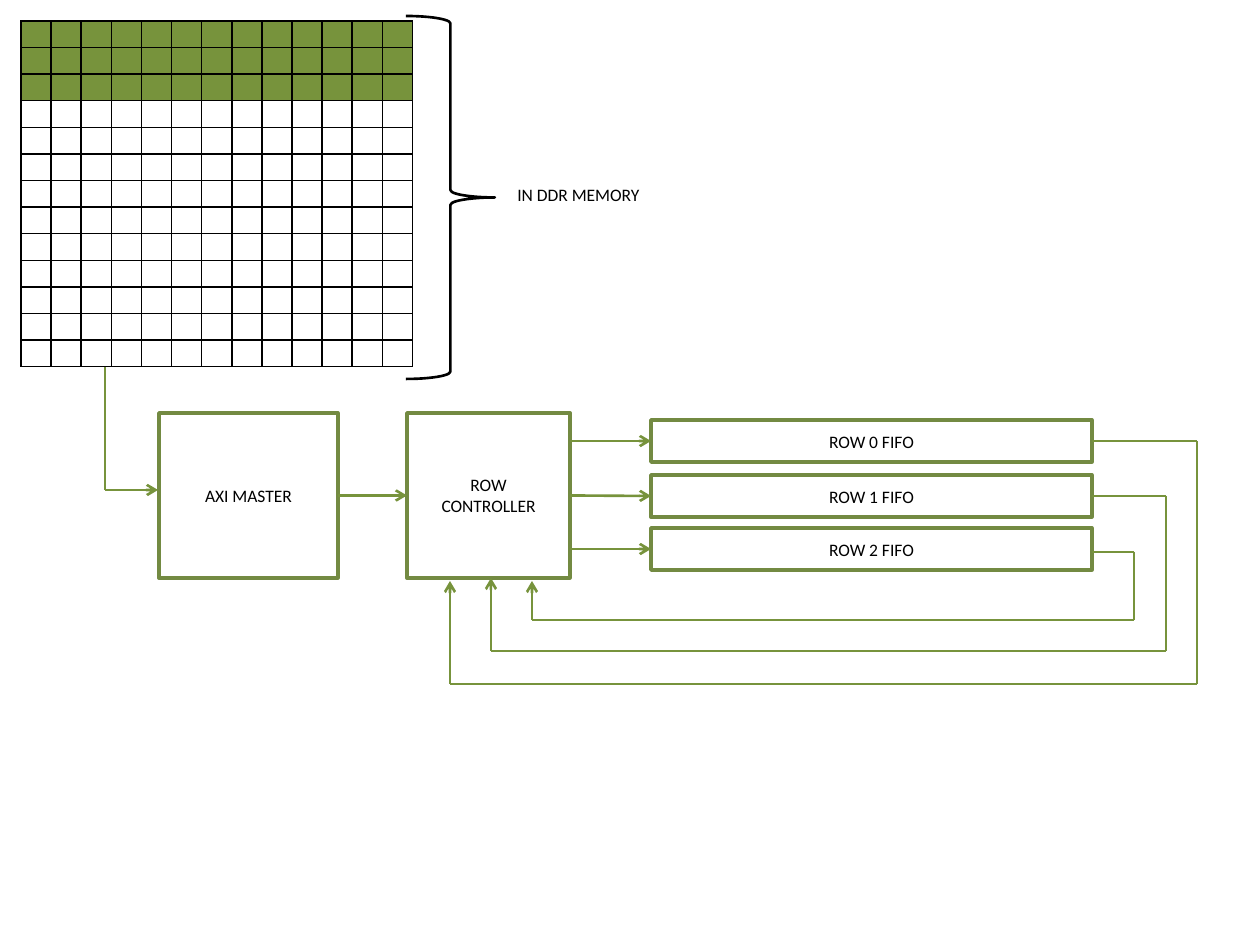
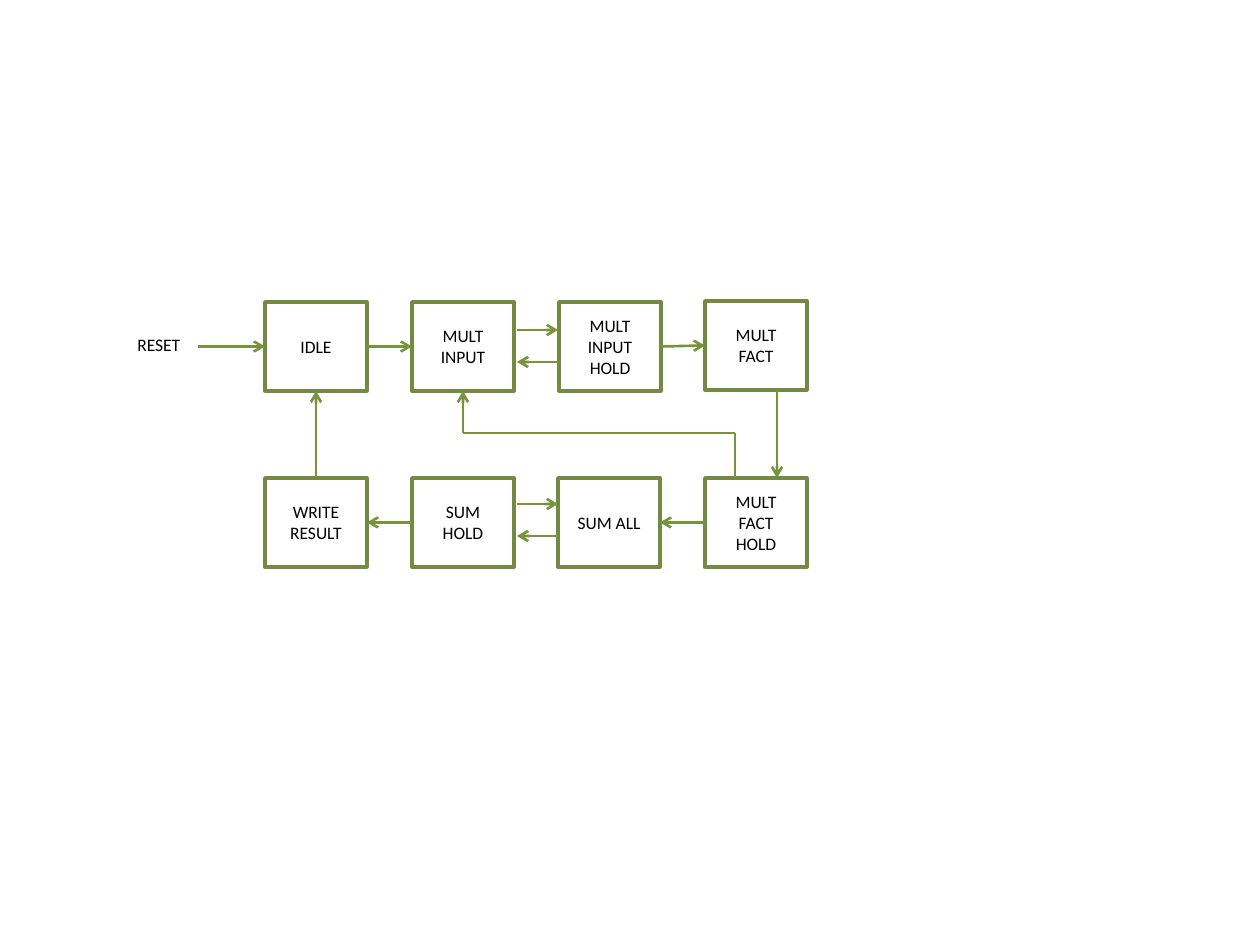
import collections

import lxml.etree
import pptx
import pptx.dml.color
import pptx.enum.shapes
import pptx.enum.text
import pptx.oxml
import pptx.oxml.ns
import pptx.util

RGBColor = pptx.dml.color.RGBColor
SHAPE = pptx.enum.shapes.MSO_SHAPE
BLACK = RGBColor(0x00, 0x00, 0x00)
WHITE = RGBColor(0xFF, 0xFF, 0xFF)
GREEN = RGBColor(0x77, 0x93, 0x3C)
OUTLINE = RGBColor(0x73, 0x8A, 0x42)
SCALE = 914400 / 126
TOP, LEFT, BOTTOM, RIGHT = range(4)

Spot = collections.namedtuple("Spot", "x y box side", defaults=(None, None))


def emu(*lengths):
    return [pptx.util.Emu(round(length * SCALE)) for length in lengths]


def add_element(parent, tag, **attributes):
    return lxml.etree.SubElement(parent, pptx.oxml.ns.qn(tag), **attributes)


def middle(box, side):
    x, y, width, height = (
        length / SCALE for length in (box.left, box.top, box.width, box.height))
    across, down = [(0.5, 0), (0, 0.5), (0.5, 1), (1, 0.5)][side]
    return Spot(x + width * across, y + height * down, box, side)


class Diagram:
    font_name = "Calibri"
    font_size = pptx.util.Pt(10)
    box_line = pptx.util.Pt(2)
    thin_line = pptx.util.Pt(1.5)

    def __init__(self, deck):
        self.deck = deck
        self.page = None

    def new_page(self):
        self.page = self.deck.slides.add_slide(self.deck.slide_layouts[6])

    def set_text(self, frame, text):
        frame.text = text
        for para in frame.paragraphs:
            para.font.name = self.font_name
            para.font.size = self.font_size
            para.font.color.rgb = BLACK

    def outline(self, kind, x, y, width, height, color, weight):
        shape = self.page.shapes.add_shape(kind, *emu(x, y, width, height))
        shape.shadow.inherit = False
        shape.fill.background()
        shape.line.color.rgb = color
        shape.line.width = weight
        return shape

    def box(self, text, x, y, width, height):
        box = self.outline(SHAPE.RECTANGLE, x, y, width, height, OUTLINE, self.box_line)
        frame = box.text_frame
        frame.word_wrap = True
        frame.vertical_anchor = pptx.enum.text.MSO_ANCHOR.MIDDLE
        self.set_text(frame, text)
        for para in frame.paragraphs:
            para.alignment = pptx.enum.text.PP_ALIGN.CENTER
        return box

    def brace(self, x, y, width, height):
        return self.outline(SHAPE.RIGHT_BRACE, x, y, width, height, BLACK, self.thin_line)

    def label(self, text, x, y, width, height):
        box = self.page.shapes.add_textbox(*emu(x, y, width, height))
        box.text_frame.word_wrap = True
        self.set_text(box.text_frame, text)

    def line(self, start, finish, arrow):
        line = self.page.shapes.add_connector(
            pptx.enum.shapes.MSO_CONNECTOR.STRAIGHT,
            *emu(start.x, start.y, finish.x, finish.y))
        line.line.color.rgb = GREEN
        line.line.width = self.thin_line
        if start.box is not None:
            line.begin_connect(start.box, start.side)
        if finish.box is not None:
            line.end_connect(finish.box, finish.side)
        properties = line._element.spPr
        if arrow:
            add_element(properties.get_or_add_ln(), "a:tailEnd", type="arrow")
        add_element(properties, "a:effectLst")

    def route(self, *points):
        spots = [Spot(*point) for point in points]
        for index, (start, finish) in enumerate(zip(spots, spots[1:]), 2):
            self.line(start, finish, arrow=index == len(spots))

    def grid(self, rows, columns, filled_rows, x, y, width, height):
        table = self.page.shapes.add_table(
            rows, columns, *emu(x, y, width, height)).table
        table.first_row = False
        table.horz_banding = False
        for index, row in enumerate(table.rows):
            for cell in row.cells:
                self.style_cell(cell, GREEN if index < filled_rows else WHITE)

    def style_cell(self, cell, color):
        cell.margin_left = cell.margin_right = 0
        cell.margin_top = cell.margin_bottom = 0
        para = cell.text_frame.paragraphs[0]
        add_element(para._p, "a:endParaRPr", sz="800")
        properties = cell._tc.get_or_add_tcPr()
        for tag in ("a:lnL", "a:lnR", "a:lnT", "a:lnB"):
            border = add_element(properties, tag, w=str(int(pptx.util.Pt(1))))
            fill = add_element(border, "a:solidFill")
            add_element(fill, "a:srgbClr", val=str(BLACK))
        cell.fill.solid()
        cell.fill.fore_color.rgb = color


def build_row_buffer(diagram):
    diagram.new_page()
    diagram.grid(13, 13, 3, 21, 21, 392, 346)
    diagram.brace(406, 16, 89, 363)
    diagram.label("IN DDR MEMORY", 505, 178, 163, 34)

    master = diagram.box("AXI MASTER", 159, 413, 179, 165)
    controller = diagram.box("ROW\vCONTROLLER", 407, 413, 163, 165)
    fifos = [diagram.box(f"ROW {row} FIFO", 651, y, 441, 42)
             for row, y in enumerate((420, 475, 528))]

    diagram.route((105, 367), (105, 490), (158, 490))
    diagram.route(middle(master, RIGHT), middle(controller, LEFT))
    entries = [middle(fifo, LEFT) for fifo in fifos]
    exits = [(570, entries[0].y), middle(controller, RIGHT), (570, entries[2].y)]
    for leave, enter in zip(exits, entries):
        diagram.route(leave, enter)

    feedback = [
        (middle(fifos[0], RIGHT), 1197, 684, 450, 581),
        (middle(fifos[1], RIGHT), 1166, 651, 491, 578),
        (Spot(1092, 552), 1134, 620, 532, 581),
    ]
    for start, lane_x, lane_y, entry_x, entry_y in feedback:
        diagram.route(start, (lane_x, start.y), (lane_x, lane_y),
                      (entry_x, lane_y), (entry_x, entry_y))


def build_state_machine(diagram):
    diagram.new_page()
    states = {}
    for text, x, y in (
        ("IDLE", 265, 302), ("MULT INPUT", 412, 302),
        ("MULT INPUT HOLD", 559, 302), ("MULT FACT", 705, 301),
        ("WRITE RESULT", 265, 478), ("SUM HOLD", 412, 478),
        ("SUM ALL", 558, 478), ("MULT FACT HOLD", 705, 478),
    ):
        states[text] = diagram.box(text, x, y, 102, 89)
    diagram.label("RESET", 125, 328, 73, 34)

    idle = middle(states["IDLE"], LEFT)
    diagram.route((198, idle.y), idle)
    for source, leave, target, enter in (
        ("IDLE", RIGHT, "MULT INPUT", LEFT),
        ("MULT INPUT HOLD", RIGHT, "MULT FACT", LEFT),
        ("MULT FACT HOLD", LEFT, "SUM ALL", RIGHT),
        ("SUM HOLD", LEFT, "WRITE RESULT", RIGHT),
        ("WRITE RESULT", TOP, "IDLE", BOTTOM),
    ):
        diagram.route(middle(states[source], leave), middle(states[target], enter))

    for forward_y, back_y in ((330, 362), (504, 536)):
        diagram.route((517, forward_y), (558, forward_y))
        diagram.route((558, back_y), (517, back_y))

    diagram.route((777, 391), (777, 478))
    restart = middle(states["MULT INPUT"], BOTTOM)
    diagram.route((735, 478), (735, 433), (restart.x, 433), restart)


def main():
    deck = pptx.Presentation()
    deck.slide_width, deck.slide_height = emu(1260, 945)
    diagram = Diagram(deck)
    build_row_buffer(diagram)
    build_state_machine(diagram)
    deck.save("out.pptx")


if __name__ == "__main__":
    main()
